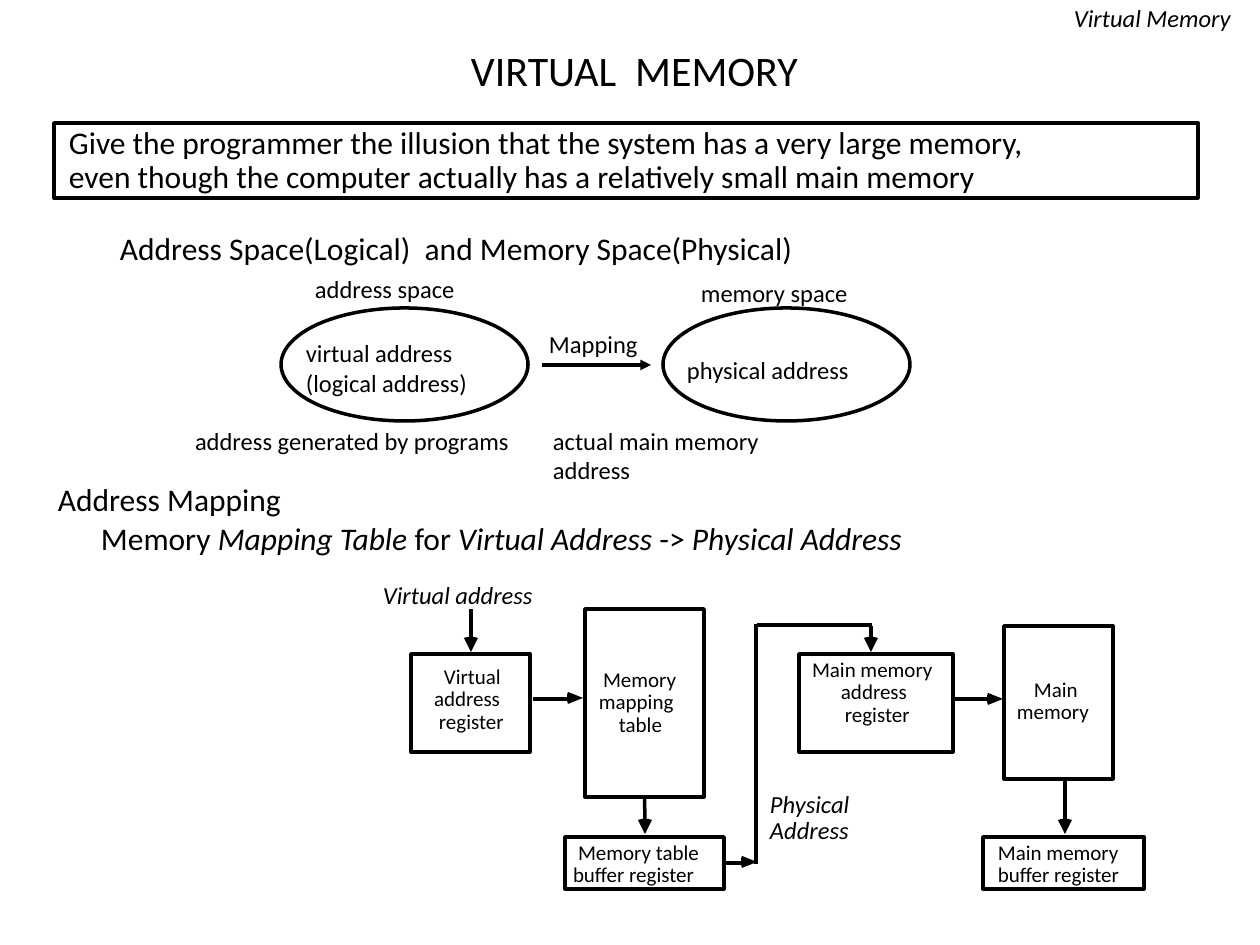
from lxml.etree import SubElement
from pptx import Presentation
from pptx.dml.color import RGBColor
from pptx.enum.shapes import MSO_CONNECTOR, MSO_SHAPE
from pptx.enum.text import MSO_ANCHOR, MSO_AUTO_SIZE, PP_ALIGN
from pptx.oxml.ns import qn
from pptx.util import Pt

PX = 914400 / 126
BLACK = RGBColor(0, 0, 0)
WHITE = RGBColor(255, 255, 255)
FONT = "Calibri"
TIGHT = (9, 4)
LOOSE = (13, 6)
RIGHT, DOWN = (1, 0), (0, 1)
PITCH = 22.5


def emu(*px):
    return [round(v * PX) for v in px]


def style(p, size, italic=None, spacing=None):
    p.font.name = FONT
    p.font.size = Pt(size)
    p.font.color.rgb = BLACK
    p.font.italic = italic
    p.line_spacing = spacing


def text(slide, box, lines, size, spacing=0.9, inset=LOOSE, italic=None):
    tf = slide.shapes.add_textbox(*emu(*box)).text_frame
    tf.word_wrap = False
    tf.auto_size = MSO_AUTO_SIZE.SHAPE_TO_FIT_TEXT
    tf.margin_left = tf.margin_right = emu(inset[0])[0]
    tf.margin_top = tf.margin_bottom = emu(inset[1])[0]
    tf.text = "\n".join(lines)
    for p in tf.paragraphs:
        style(p, size, italic, spacing)
    return tf


def stack(slide, top, words):
    for i, (x, w, word) in enumerate(words):
        text(slide, (x, top + i * PITCH, w, 35), [word], 12)


def outline(slide, kind, box):
    sp = slide.shapes.add_shape(kind, *emu(*box))
    sp.shadow.inherit = False
    sp.fill.background()
    sp.line.color.rgb = BLACK
    sp.line.width = Pt(2)
    return sp


def line(slide, x1, y1, x2, y2, source=None, side=None, arrow=False):
    cx = slide.shapes.add_connector(MSO_CONNECTOR.STRAIGHT, *emu(x1, y1, x2, y2))
    cx.line.color.rgb = BLACK
    cx.line.width = Pt(2)
    if arrow:
        SubElement(cx.line._get_or_add_ln(), qn("a:tailEnd"), type="triangle")
    SubElement(cx._element.spPr, qn("a:effectLst"))
    if source is not None:
        cx.begin_connect(source, side)


def head(slide, x, y, direction):
    dx, dy = direction
    length, half, bulge = (15, 6, 1) if direction == RIGHT else (14, 7, 1)
    points = [(-length, half), (-length - bulge, half / 2),
              (-length - bulge, -half / 2), (-length, -half)]
    outer = [(x + a * dx + b * dy, y + a * dy + b * dx) for a, b in points]
    fb = slide.shapes.build_freeform(*emu(x, y), scale=1.0)
    fb.add_line_segments([emu(*pt) for pt in outer], close=True)
    sp = fb.convert_to_shape()
    sp.shadow.inherit = False
    sp.fill.solid()
    sp.fill.fore_color.rgb = BLACK
    sp.line.fill.background()


def add_title(slide):
    title = slide.shapes.title
    title.left, title.top, title.width, title.height = emu(73, 38, 1123, 64)
    tf = title.text_frame
    tf.text = "VIRTUAL  MEMORY"
    tf.vertical_anchor = MSO_ANCHOR.MIDDLE
    style(tf.paragraphs[0], 24)
    tf.paragraphs[0].alignment = PP_ALIGN.CENTER
    header = text(slide, (1042, 0, 202, 39), ["Virtual Memory"], 14, italic=True)
    header.paragraphs[0].alignment = PP_ALIGN.RIGHT


def add_statements(slide):
    text(slide, (60, 123, 1147, 76),
         ["Give the programmer the illusion that the system has a very large memory,",
          "even though the computer actually has a relatively small main memory"],
         18, inset=TIGHT)
    outline(slide, MSO_SHAPE.RECTANGLE, (54, 123, 1144, 75))
    text(slide, (111, 224, 829, 45),
         ["Address Space(Logical)  and Memory Space(Physical)"], 18, 1.02, TIGHT)
    tf = text(slide, (49, 476, 1021, 83), ["Address Mapping"], 18, 1.01, TIGHT)
    p = tf.add_paragraph()
    style(p, 18, spacing=1.01)
    p._p.get_or_add_pPr().set("marL", str(emu(43)[0]))
    parts = ["Memory ", "Mapping Table", " for ", "Virtual Address", " -> ", "Physical Address"]
    for i, part in enumerate(parts):
        r = p.add_run()
        r.text = part
        r.font.italic = i % 2 == 1


def add_spaces(slide):
    for x in (281, 663):
        outline(slide, MSO_SHAPE.OVAL, (x, 308, 247, 113))
    line(slide, 542, 365, 651, 365, arrow=True)
    text(slide, (297, 334, 212, 66), ["virtual address", "(logical address)"], 14, 1.01, TIGHT)
    for x, y, w, label in [(678, 353, 215, "physical address"),
                           (306, 272, 186, "address space"),
                           (692, 276, 189, "memory space"),
                           (186, 424, 332, "address generated by programs"),
                           (544, 424, 306, "actual main memory address"),
                           (540, 327, 117, "Mapping")]:
        text(slide, (x, y, w, 35), [label], 14, 0.97, TIGHT)


def add_registers(slide):
    boxes = [(411, 654, 119, 98), (585, 609, 119, 188), (565, 837, 159, 52),
             (799, 654, 154, 98), (1004, 626, 109, 153), (983, 837, 161, 52)]
    table, buffer = [outline(slide, MSO_SHAPE.RECTANGLE, b) for b in boxes][1:3]

    stack(slide, 660, [(431, 91, "Virtual"), (421, 106, "address"), (426, 102, "register")])
    stack(slide, 663, [(590, 106, "Memory"), (586, 112, "mapping"), (606, 74, "table")])
    stack(slide, 836, [(565, 160, "Memory table"), (560, 168, "buffer register")])
    stack(slide, 653, [(799, 160, "Main memory"), (828, 106, "address"), (832, 102, "register")])
    stack(slide, 673, [(1021, 73, "Main"), (1004, 106, "memory")])
    stack(slide, 836, [(985, 160, "Main memory"), (985, 168, "buffer register")])
    text(slide, (370, 577, 202, 39), ["Virtual address"], 14, italic=True)
    text(slide, (757, 786, 131, 66), ["Physical", "Address"], 14, italic=True)

    for ends in [(471, 609, 471, 638), (533, 699, 568, 699), (871, 626, 871, 638),
                 (953, 699, 987, 699), (1065, 780, 1065, 820),
                 (757, 625, 872, 625), (756, 624, 756, 864)]:
        line(slide, *ends)
    line(slide, 645, 797, 645, 820, table, 2)
    line(slide, 724, 863, 741, 863, buffer, 3)
    for x, y in [(471, 652), (871, 652), (645, 834), (1065, 834)]:
        head(slide, x, y, DOWN)
    for x, y in [(583, 698), (757, 862), (1003, 699)]:
        head(slide, x, y, RIGHT)


def main():
    prs = Presentation()
    prs.slide_width, prs.slide_height = emu(1260, 945)
    slide = prs.slides.add_slide(prs.slide_layouts[5])
    slide.background.fill.solid()
    slide.background.fill.fore_color.rgb = WHITE
    add_title(slide)
    add_statements(slide)
    add_spaces(slide)
    add_registers(slide)
    prs.save("out.pptx")


if __name__ == "__main__":
    main()
